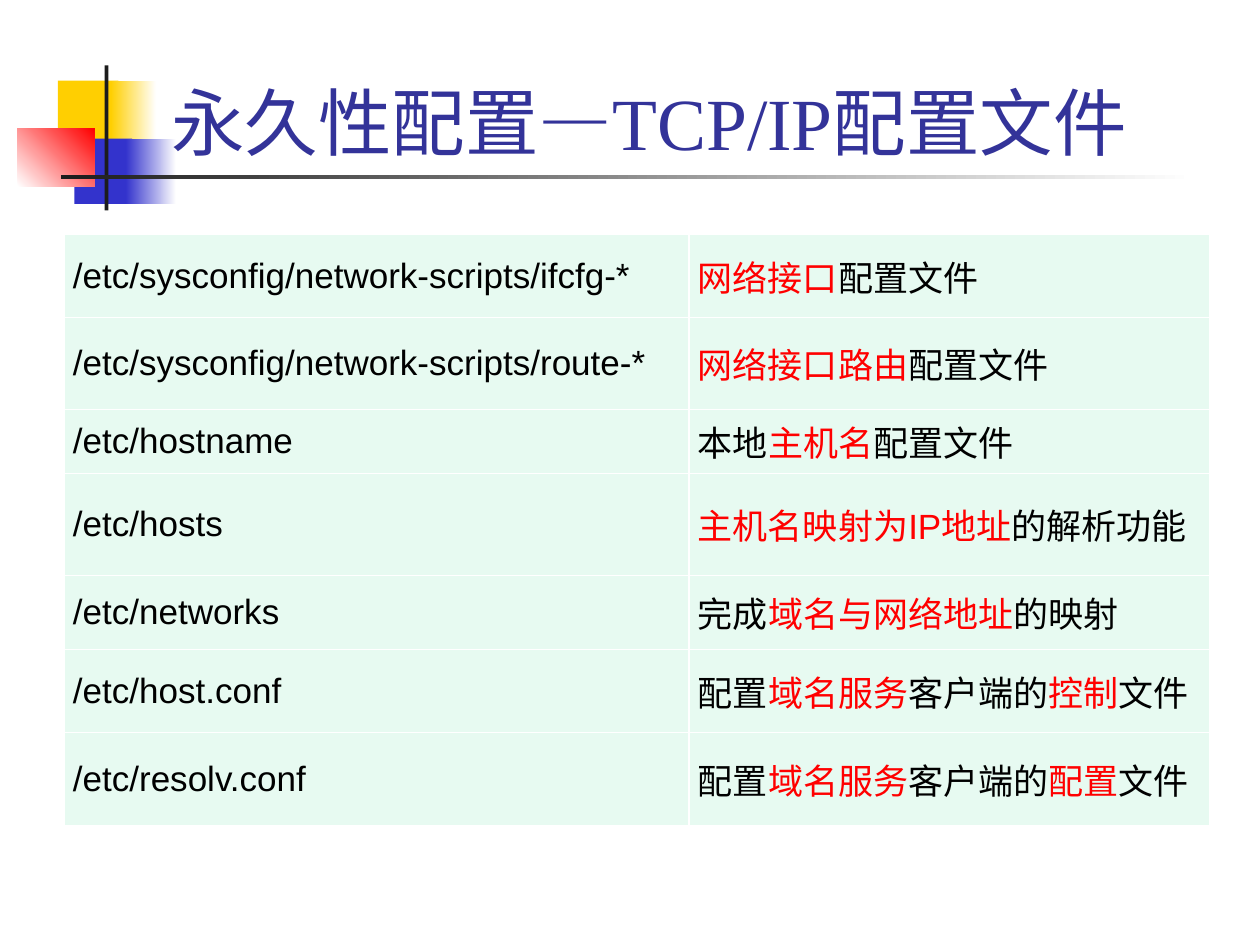
from pptx import Presentation
from pptx.dml.color import RGBColor
from pptx.enum.shapes import MSO_SHAPE as Shape
from pptx.enum.text import MSO_ANCHOR as Anchor, MSO_AUTO_SIZE as AutoSize, PP_ALIGN as Align
from pptx.oxml import parse_xml
from pptx.oxml.ns import nsdecls
from pptx.util import Pt

BLACK, RED, WHITE = "000000", "FF0000", "FFFFFF"
YELLOW, BLUE, DARK = "FFCF01", "3333CC", "1C1C1C"
NAVY, MINT = "333399", "E7FAF1"

DECORATION = [
    (33.1, 46.1, 34.6, 37.4, [YELLOW], 0),
    (63.4, 46.1, 25.9, 37.4, [YELLOW, WHITE], 0),
    (42.5, 79.2, 33.1, 37.4, [BLUE], 0),
    (72, 79.2, 28.8, 37.4, [BLUE, WHITE], 0),
    (10.1, 73.4, 43.9, 33.1, [WHITE, RED], 45),
    (59.8, 37.4, 2.2, 82.8, [DARK], 0),
    (34.6, 100.1, 648, 2.2, [DARK, WHITE], 0),
]

COLUMN_WIDTHS = [357.1, 297.4]
FILES = [
    (47.5, "/etc/sysconfig/network-scripts/ifcfg-*", "*网络接口*配置文件"),
    (52.6, "/etc/sysconfig/network-scripts/route-*", "*网络接口路由*配置文件"),
    (36.7, "/etc/hostname", "本地*主机名*配置文件"),
    (42.5, "/etc/hosts", "*主机名映射为IP地址*的解析功能"),
    (42.5, "/etc/networks", "完成*域名与网络地址*的映射"),
    (47.5, "/etc/host.conf", "配置*域名服务*客户端的*控制*文件"),
    (53.3, "/etc/resolv.conf", "配置*域名服务*客户端的*配置*文件"),
]


def rgb(value):
    """Turn a hex string into a colour."""
    return RGBColor.from_string(value)


def format_run(r, size, font, color):
    """Set the size, font and colour of a run."""
    r.font.size = Pt(size)
    r.font.name = font
    r.font.color.rgb = rgb(color)


def add_block(s, left, top, width, height, colors, angle):
    """Draw a borderless rectangle with a solid or two-colour gradient fill."""
    sp = s.shapes.add_shape(Shape.RECTANGLE, Pt(left), Pt(top), Pt(width), Pt(height))
    sp.shadow.inherit = False
    sp.line.fill.background()
    if len(colors) == 1:
        sp.fill.solid()
        sp.fill.fore_color.rgb = rgb(colors[0])
        return
    sp.fill.gradient()
    sp.fill.gradient_angle = angle
    for stop, color in zip(sp.fill.gradient_stops, colors):
        stop.color.rgb = rgb(color)


def format_title(s, text):
    """Place the title in front of the decoration and format it."""
    sp = s.shapes.title
    s.shapes.element.append(sp.element)
    sp.left, sp.top, sp.width, sp.height = Pt(90.7), Pt(15.1), Pt(768.2), Pt(82.8)
    tf = sp.text_frame
    tf.text = text
    tf.auto_size = AutoSize.NONE
    tf.word_wrap = True
    tf.vertical_anchor = Anchor.BOTTOM
    p = tf.paragraphs[0]
    p.alignment = Align.LEFT
    format_run(p.runs[0], 42, "Times New Roman", NAVY)


def set_borders(cell):
    """Give a cell thin white borders on all sides."""
    props = cell._tc.get_or_add_tcPr()
    for i, side in enumerate(("lnL", "lnR", "lnT", "lnB")):
        props.insert(i, parse_xml(
            f'<a:{side} {nsdecls("a")} w="12700"><a:solidFill>'
            f'<a:srgbClr val="{WHITE}"/></a:solidFill></a:{side}>'))


def fill_cell(cell, parts):
    """Write alternating black and red runs into a tinted cell."""
    cell.fill.solid()
    cell.fill.fore_color.rgb = rgb(MINT)
    set_borders(cell)
    cell.vertical_anchor = Anchor.MIDDLE
    cell.margin_left = cell.margin_right = Pt(5)
    cell.margin_top = cell.margin_bottom = 0
    p = cell.text_frame.paragraphs[0]
    p.alignment = Align.JUSTIFY
    for i, part in enumerate(parts):
        if part:
            r = p.add_run()
            r.text = part
            format_run(r, 20, "Arial", RED if i % 2 else BLACK)


def add_file_table(s):
    """Build the table of configuration files and their purposes."""
    height = sum(row[0] for row in FILES)
    table = s.shapes.add_table(len(FILES), 2, Pt(36.7), Pt(133.9),
                               Pt(sum(COLUMN_WIDTHS)), Pt(height)).table
    table.first_row = table.horz_banding = False
    for column, width in zip(table.columns, COLUMN_WIDTHS):
        column.width = Pt(width)
    for i, (row_height, name, purpose) in enumerate(FILES):
        table.rows[i].height = Pt(row_height)
        fill_cell(table.cell(i, 0), [name])
        fill_cell(table.cell(i, 1), purpose.split("*"))


def main():
    """Build the slide and save it."""
    prs = Presentation()
    prs.slide_width, prs.slide_height = Pt(720), Pt(540)
    s = prs.slides.add_slide(prs.slide_layouts[5])
    for block in DECORATION:
        add_block(s, *block)
    format_title(s, "永久性配置—TCP/IP配置文件")
    add_file_table(s)
    prs.save("out.pptx")


if __name__ == "__main__":
    main()
